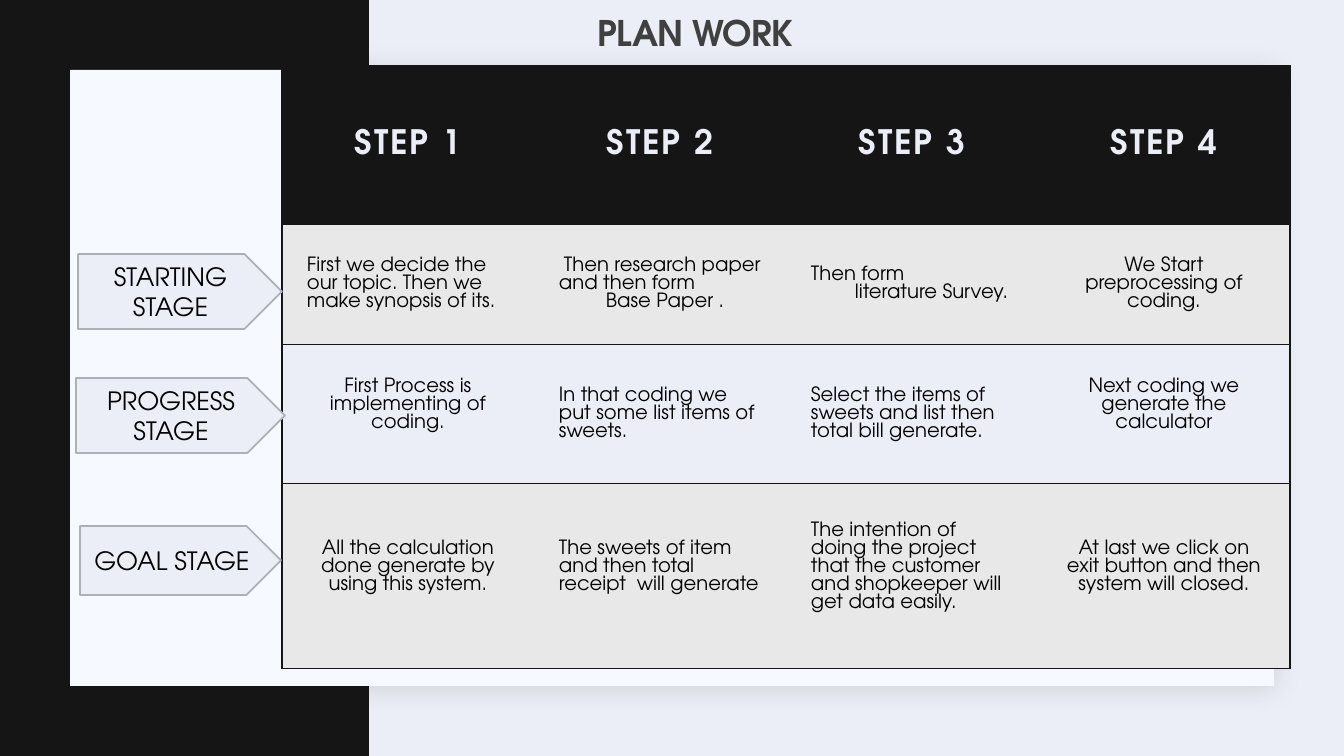
from lxml import etree
from pptx import Presentation
from pptx import util as u
from pptx.dml.color import RGBColor
from pptx.enum import shapes, text
from pptx.oxml import ns

FONT = "TeX Gyre Adventor"
DARK, PALE, GREY, WHITE = "141514", "ECEEF7", "E7E8E7", "F6F9FF"
BLACK, TITLE_COLOR, ARROW_LINE, SHADOW = "000000", "404040", "AFB0B7", "1F2125"
LEFT, CENTER = text.PP_ALIGN.LEFT, text.PP_ALIGN.CENTER

TITLE = "PLAN WORK"
HEADERS = ["STEP 1", "STEP 2", "STEP 3", "STEP 4"]
# Each cell: alignment, space kept below in px, lines as (left indent in px, wording)
LINE = 18
ROWS = [
    [
        (LEFT, 0, [(0, "First we decide the our topic. Then we make synopsis of its.")]),
        (LEFT, 0, [(5, "Then research paper"), (0, "and then form"), (47, "Base Paper .")]),
        (LEFT, 0, [(0, "Then form"), (44, "literature Survey.")]),
        (CENTER, 0, [(0, "We Start preprocessing of coding.")]),
    ],
    [
        (CENTER, LINE, [(0, "First Process is implementing of coding.")]),
        (LEFT, 0, [(0, "In that coding we put some list items of sweets.")]),
        (LEFT, 0, [(0, "Select the items of sweets and list then total bill generate.")]),
        (CENTER, LINE, [(0, "Next coding we generate the calculator")]),
    ],
    [
        (CENTER, LINE, [(0, "All the calculation done generate by using this system.")]),
        (LEFT, LINE, [(0, "The sweets of item and then total receipt  will generate")]),
        (LEFT, LINE, [(0, "The intention of doing the project that the customer and "
                          "shopkeeper will get data easily.")]),
        (CENTER, LINE, [(0, "At last we click on exit button and then system will closed.")]),
    ],
]
ROW_FILLS = [GREY, PALE, GREY]
ROW_HEIGHTS = [158, 112, 128, 177]
COLUMN_WIDTH = 252
TABLE_LEFT, TABLE_TOP = 282, 66
CELL_MARGIN = 25
STAGES = [
    ("STARTING STAGE", (78, 254, 204, 75)),
    ("PROGRESS STAGE", (76, 378, 209, 75)),
    ("GOAL STAGE", (80, 526, 201, 69)),
]


def px(length):
    return u.Emu(round(length * 914400 / 100.8))


def color(value):
    return RGBColor.from_string(value)


def style_paragraph(paragraph, size, font_color, align=CENTER, bold=False, tracking=0):
    """Format a paragraph and its runs; tracking is in hundredths of a point."""
    paragraph.alignment = align
    for run in paragraph.runs:
        font = run.font
        font.name, font.size, font.bold = FONT, u.Pt(size), bold
        font.color.rgb = color(font_color)
        if tracking:
            run._r.get_or_add_rPr().set("spc", str(tracking))


def add_box(slide, kind, box, fill, line=None):
    shape = slide.shapes.add_shape(kind, *map(px, box))
    shape.shadow.inherit = False
    shape.fill.solid()
    shape.fill.fore_color.rgb = color(fill)
    if line:
        shape.line.color.rgb = color(line)
        shape.line.width = u.Pt(1.25)
    else:
        shape.line.fill.background()
    return shape


def add_soft_shadow(shape):
    effects = shape._element.spPr.find(ns.qn("a:effectLst"))
    shadow = etree.SubElement(effects, ns.qn("a:outerShdw"), blurRad=str(u.Pt(20)),
                              dist=str(u.Pt(2)), dir="2700000", algn="tl", rotWithShape="0")
    tint = etree.SubElement(shadow, ns.qn("a:srgbClr"), val=SHADOW)
    etree.SubElement(tint, ns.qn("a:alpha"), val="15000")


def set_borders(cell, visible):
    """Draw the sides named in visible and clear the others."""
    properties = cell._tc.get_or_add_tcPr()
    for side in "LRTB":
        border = etree.SubElement(properties, ns.qn(f"a:ln{side}"), w=str(u.Pt(1)))
        if side in visible:
            fill = etree.SubElement(border, ns.qn("a:solidFill"))
            etree.SubElement(fill, ns.qn("a:srgbClr"), val=DARK)
        else:
            etree.SubElement(border, ns.qn("a:noFill"))


def prepare_cell(cell, column, fill, space_below=0):
    outer_side = {0: "L", len(HEADERS) - 1: "R"}.get(column, "")
    set_borders(cell, "TB" + outer_side)
    cell.fill.solid()
    cell.fill.fore_color.rgb = color(fill)
    cell.vertical_anchor = text.MSO_ANCHOR.MIDDLE
    cell.margin_left = cell.margin_right = cell.margin_top = px(CELL_MARGIN)
    cell.margin_bottom = px(CELL_MARGIN + space_below)


def add_plan_table(slide):
    frame = slide.shapes.add_table(
        len(ROW_HEIGHTS), len(HEADERS), px(TABLE_LEFT), px(TABLE_TOP),
        px(COLUMN_WIDTH * len(HEADERS)), px(sum(ROW_HEIGHTS)))
    table = frame.table
    table.horz_banding = False
    for table_column in table.columns:
        table_column.width = px(COLUMN_WIDTH)
    for table_row, height in zip(table.rows, ROW_HEIGHTS):
        table_row.height = px(height)

    for column, header in enumerate(HEADERS):
        cell = table.cell(0, column)
        prepare_cell(cell, column, DARK)
        cell.text_frame.text = header
        style_paragraph(cell.text_frame.paragraphs[0], 24, PALE, bold=True, tracking=150)

    for row, (cells, fill) in enumerate(zip(ROWS, ROW_FILLS), start=1):
        for column, (align, space_below, lines) in enumerate(cells):
            cell = table.cell(row, column)
            prepare_cell(cell, column, fill, space_below)
            cell.text_frame.text = "\n".join(wording for _, wording in lines)
            for paragraph, (indent, _) in zip(cell.text_frame.paragraphs, lines):
                style_paragraph(paragraph, 14, BLACK, align)
                if indent:
                    paragraph._p.get_or_add_pPr().set("marL", str(px(indent)))


def add_title(slide):
    title = slide.shapes.add_textbox(px(199), px(14), px(993), px(42))
    frame = title.text_frame
    frame.word_wrap = True
    frame.vertical_anchor = text.MSO_ANCHOR.MIDDLE
    frame.text = TITLE
    style_paragraph(frame.paragraphs[0], 25.2, TITLE_COLOR, bold=True, tracking=-50)
    frame.paragraphs[0].line_spacing = 0.9


def add_stage(slide, label, box):
    arrow = add_box(slide, shapes.MSO_SHAPE.PENTAGON, box, PALE, ARROW_LINE)
    arrow.text_frame.text = label
    arrow.text_frame.vertical_anchor = text.MSO_ANCHOR.MIDDLE
    style_paragraph(arrow.text_frame.paragraphs[0], 18, BLACK)


def main():
    presentation = Presentation()
    presentation.slide_width, presentation.slide_height = px(1344), px(756)
    slide = presentation.slides.add_slide(presentation.slide_layouts[6])
    slide.background.fill.solid()
    slide.background.fill.fore_color.rgb = color(PALE)

    rectangle = shapes.MSO_SHAPE.RECTANGLE
    add_box(slide, rectangle, (0, 0, 369, 756), DARK)
    add_soft_shadow(add_box(slide, rectangle, (70, 70, 1204, 616), WHITE))
    add_title(slide)
    add_plan_table(slide)
    for label, box in STAGES:
        add_stage(slide, label, box)
    presentation.save("out.pptx")


if __name__ == "__main__":
    main()
